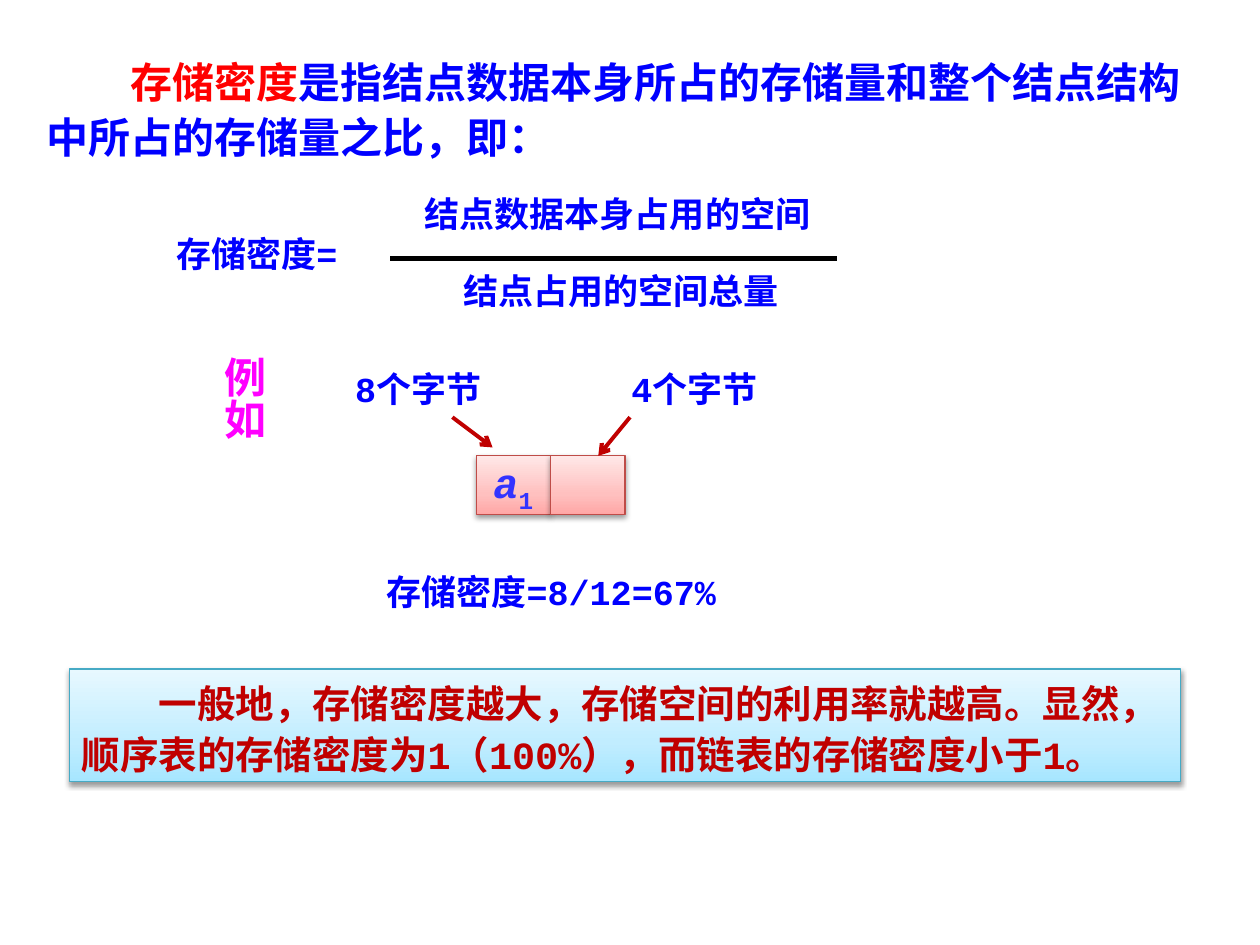
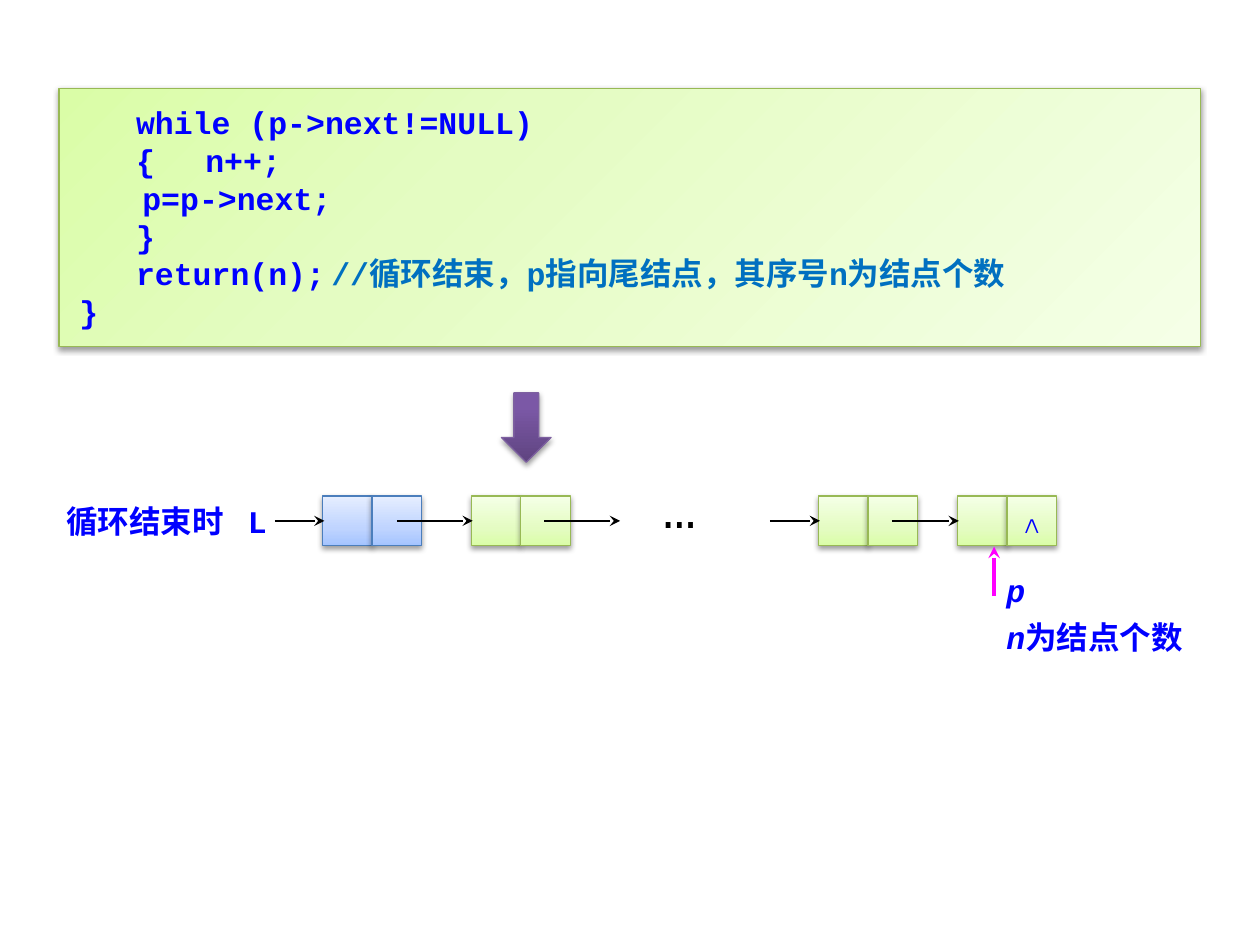
"""Build two slides on storage density and on counting the nodes of a linked list."""
from dataclasses import dataclass

from pptx import Presentation
from pptx.dml.color import RGBColor as RGB
from pptx.enum.shapes import MSO_CONNECTOR as Link, MSO_SHAPE as Shape
from pptx.enum.text import MSO_ANCHOR as Anchor, PP_ALIGN as Align
from pptx.oxml import parse_xml
from pptx.oxml.ns import nsdecls, qn
from pptx.util import Cm, Pt


@dataclass(frozen=True)
class Theme:
    font: str = "Courier New"
    blue: str = "0000FF"
    red: str = "FF0000"
    deep: str = "C00000"
    pink: str = "FF00FF"
    black: str = "000000"
    note: str = "0070C0"
    data: str = "3333FF"
    code: int = 18
    label: int = 20
    sum: int = 22
    lead: int = 24
    dots: int = 32
    cyan: tuple = ("46AAC5", (0, "A7E6FF"), (35, "C1EDFF"), (100, "E7F8FF"))
    rose: tuple = ("BF4C48", (0, "FFA6A5"), (35, "FFC0BF"), (100, "FFE7E7"))
    sky: tuple = ("4B7EBC", (0, "A4C4FF"), (35, "BFD4FF"), (100, "E6EEFF"))
    lime: tuple = ("98B955", (0, "DAFDA7"), (35, "E4FCC2"), (100, "F5FFE7"))
    plum: tuple = ("7D60A0", (0, "5F4480"), (80, "7B58A6"), (100, "7C57A8"))


T = Theme()


def put(slide, at, rows=(), size=T.label, color=T.blue, skin=None, kind=Shape.RECTANGLE,
        angle=270, align=Align.LEFT, anchor=Anchor.TOP, wrap=True, space=None, indent=0, bold=True):
    """Add a text box, or a gradient shape if a skin is given, and fill in its rows."""
    place = [Cm(n) for n in at]
    if skin:
        item = slide.shapes.add_shape(kind, *place)
        edge, *stops = skin
        item.fill.background()
        marks = "".join(f'<a:gs pos="{pos * 1000}"><a:srgbClr val="{tone}"/></a:gs>' for pos, tone in stops)
        props = item._element.spPr
        props.replace(props.find(qn("a:noFill")), parse_xml(
            f'<a:gradFill {nsdecls("a")} rotWithShape="1"><a:gsLst>{marks}</a:gsLst>'
            f'<a:lin ang="{angle * 60000}" scaled="0"/></a:gradFill>'))
        item.line.color.rgb = RGB.from_string(edge)
        item.line.width = Pt(0.75)
        item.shadow.inherit = False
        props.find(qn("a:effectLst")).append(parse_xml(
            f'<a:outerShdw {nsdecls("a")} blurRad="40000" dist="20000" dir="5400000" rotWithShape="0">'
            '<a:srgbClr val="000000"><a:alpha val="38000"/></a:srgbClr></a:outerShdw>'))
    else:
        item = slide.shapes.add_textbox(*place)
    frame = item.text_frame
    frame.word_wrap = wrap
    frame.vertical_anchor = anchor
    for i, row in enumerate(rows):
        para = frame.add_paragraph() if i else frame.paragraphs[0]
        para.alignment = align
        if space:
            para.line_spacing = space
        if indent:
            para._p.get_or_add_pPr().set("indent", str(Pt(indent)))
        font = para.font
        font.name, font.size, font.bold = T.font, Pt(size), bold
        font.color.rgb = RGB.from_string(color)
        for part in [row] if isinstance(row, str) else row:
            text, look = (part, {}) if isinstance(part, str) else part
            run = para.add_run()
            run.text = text
            if "color" in look:
                run.font.color.rgb = RGB.from_string(look["color"])
            if "italic" in look:
                run.font.italic = True
            if "base" in look:
                run._r.get_or_add_rPr().set("baseline", str(look["base"] * 1000))
    return item


def join(slide, ends, color=T.black, width=0.75, tip="stealth"):
    """Draw a straight line between two points, with an optional arrowhead."""
    line = slide.shapes.add_connector(Link.STRAIGHT, *[Cm(n) for n in ends])
    line.line.color.rgb = RGB.from_string(color)
    line.line.width = Pt(width)
    props = line._element.spPr
    if tip:
        props.find(qn("a:ln")).append(parse_xml(f'<a:tailEnd {nsdecls("a")} type="{tip}"/>'))
    props.append(parse_xml(f'<a:effectLst {nsdecls("a")}/>'))


deck = Presentation()
deck.slide_width, deck.slide_height = Cm(25.4), Cm(19.05)
blank = deck.slide_layouts[6]

page = deck.slides.add_slide(blank)
put(page, (0.69, 0.91, 23.6, 2.51),
    [[("存储密度", {"color": T.red}), "是指结点数据本身所占的存储量和整个结点结构中所占的存储量之比，即："]],
    T.lead, space=1.1, indent=2 * T.lead)
put(page, (1.4, 13.49, 22.4, 2.26),
    ["一般地，存储密度越大，存储空间的利用率就越高。显然，顺序表的存储密度为1（100%），而链表的存储密度小于1。"],
    T.sum, T.deep, T.cyan, space=1.1, indent=2 * T.sum)

for left, top, wide, text in (
    (3.3, 4.57, 5.41, "存储密度="),
    (8.31, 3.76, 10.59, "结点数据本身占用的空间"),
    (9.09, 5.31, 8.99, "结点占用的空间总量"),
    (7.54, 11.38, 7.75, "存储密度=8/12=67%"),
):
    put(page, (left, top, wide, 1.12), [text])
join(page, (7.87, 5.21, 16.87, 5.21), width=3, tip=None)

datum = [[("a", {"italic": True}), ("1", {"base": -25})]]
for left, rows in ((9.6, datum), (11.1, ())):
    put(page, (left, 9.19, 1.5, 1.19), rows, T.lead, T.data, T.rose,
        align=Align.CENTER, anchor=Anchor.MIDDLE, wrap=False)
for left, text, ends in (
    (6.55, "8个字节", (9.12, 8.41, 9.93, 9.02)),
    (12.12, "4个字节", (12.7, 8.41, 12.06, 9.19)),
):
    put(page, (left, 7.29, 3.76, 1.12), [text], align=Align.CENTER)
    join(page, ends, T.deep, 2.25, "arrow")
case = put(page, (4.01, 6.93, 1.55, 2.59), ["例如"], T.lead, T.pink, align=Align.CENTER)
case.text_frame._txBody.bodyPr.set("vert", "eaVert")

page = deck.slides.add_slide(blank)
code = put(page, (1.19, 1.78, 23.01, 5.21), [
    "   while (p->next!=NULL)",
    "   {\tn++;",
    "\tp=p->next;",
    "   }",
    ["   return(n);\t", ("//循环结束，p指向尾结点，其序号n为结点个数", {"color": T.note})],
    "}",
], T.code, skin=T.lime, angle=45).text_frame
code.margin_left = code.margin_right = Cm(0.41)
code.margin_top = code.margin_bottom = Cm(0.3)
put(page, (10.11, 7.92, 1, 1.4), skin=T.plum, kind=Shape.DOWN_ARROW)

top, side = 10, 1
put(page, (1.09, top, 4.19, 1.02), ["循环结束时"], T.code)
put(page, (4.75, top, 0.74, 1.02), ["L"], T.code)
for left, skin, mark in ((6.5, T.sky, ()), (9.5, T.lime, ()), (16.5, T.lime, ()), (19.3, T.lime, ["∧"])):
    for x, rows in ((left, ()), (left + side, mark)):
        put(page, (x, top, side, side), rows, T.code, skin=skin,
            align=Align.CENTER, anchor=Anchor.MIDDLE, wrap=False)
mid = top + side / 2
for start, end in ((5.54, 6.54), (8, 9.53), (10.97, 12.5), (15.52, 16.53), (17.98, 19.33)):
    join(page, (start, mid, end, mid))
put(page, (13.11, 9.4, 2.01, 1.6), ["…"], T.dots, T.black, bold=False)

tail = put(page, (20.04, 11.51, 5.05, 1.93),
           [[("p", {"italic": True})], [("n", {"italic": True}), "为结点个数"]], T.code, space=Pt(18))
tail.text_frame.paragraphs[1].space_before = Pt(9)
join(page, (20.04, 12.01, 20.04, 11.02), T.pink, 2.25)

deck.save("out.pptx")
